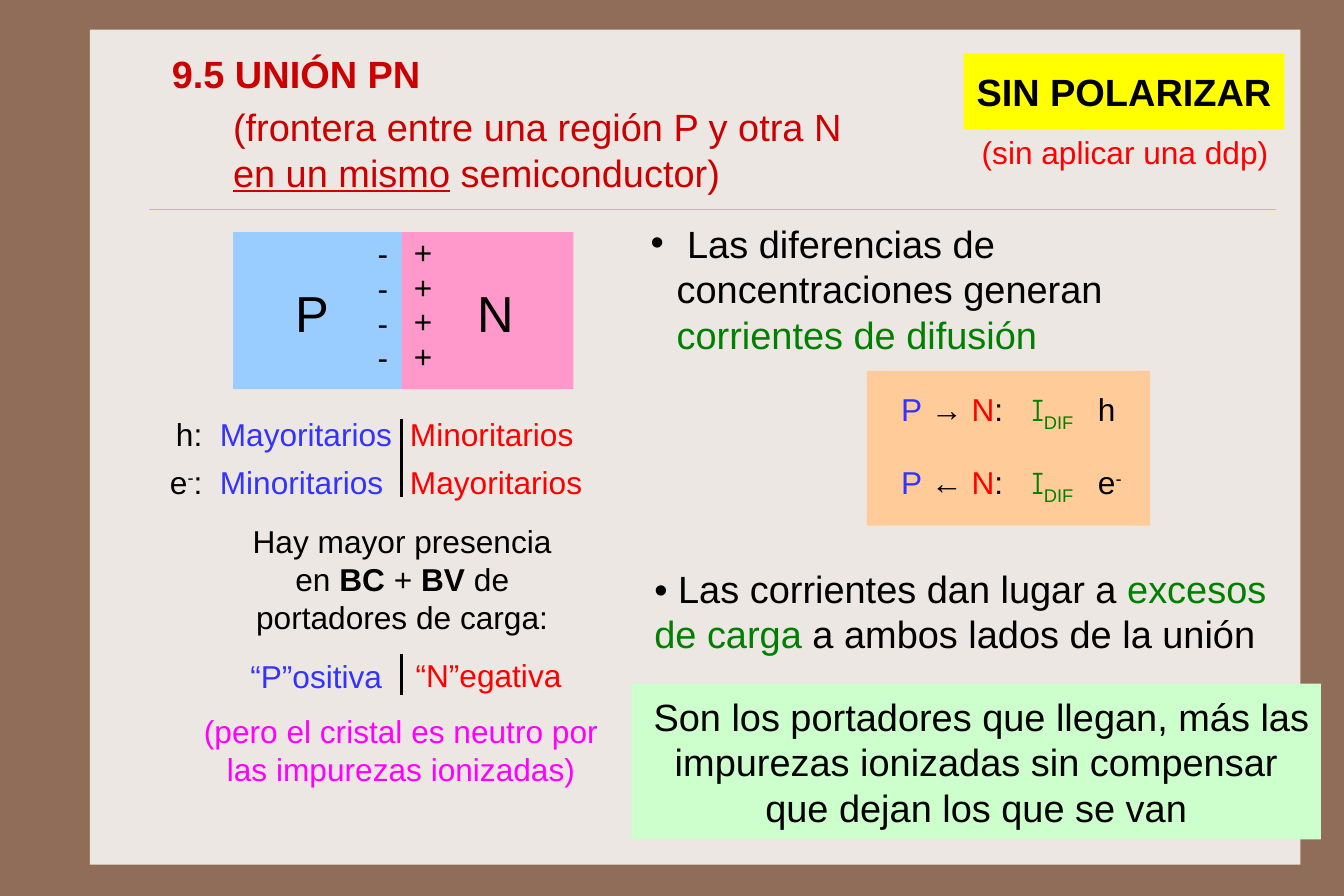
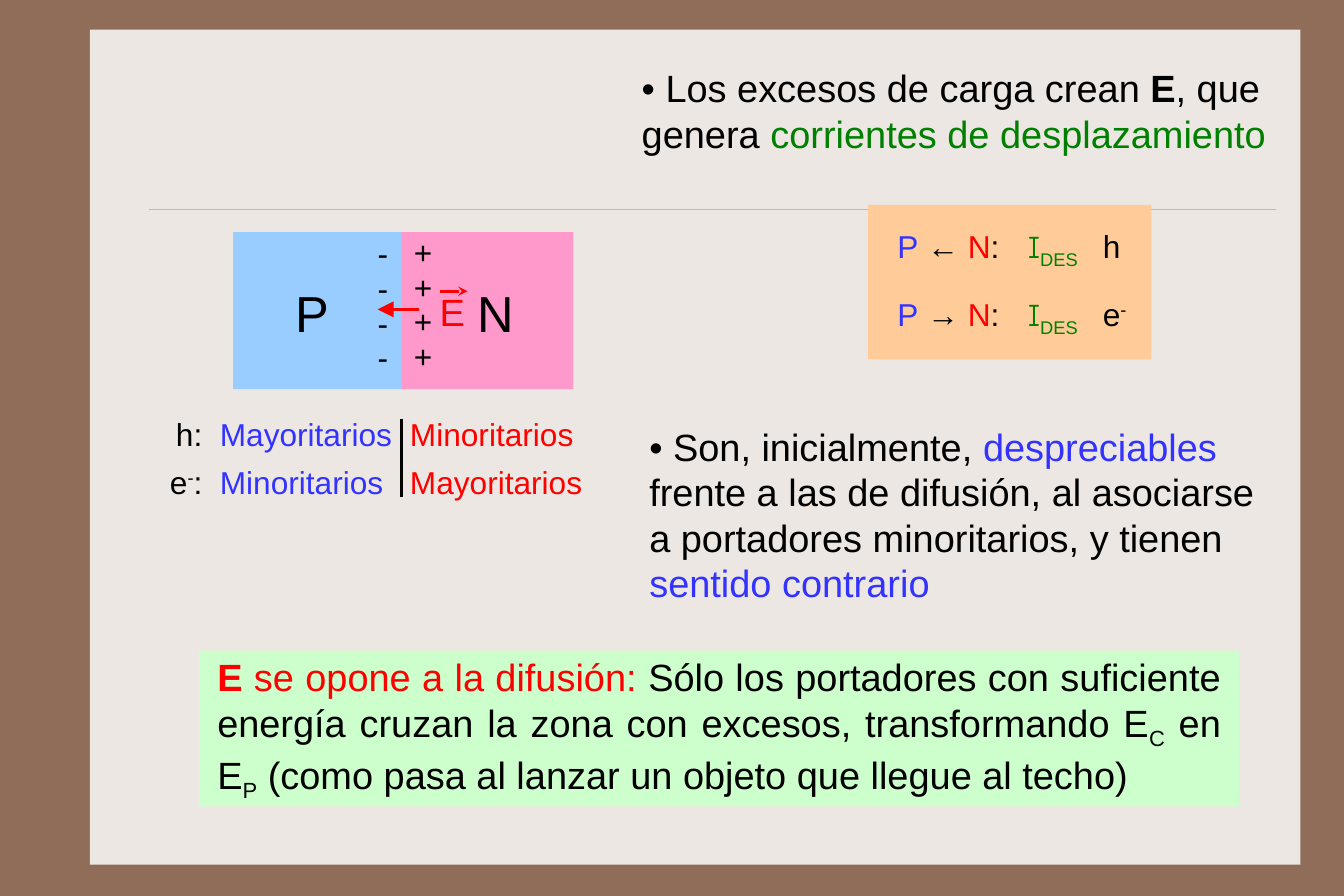
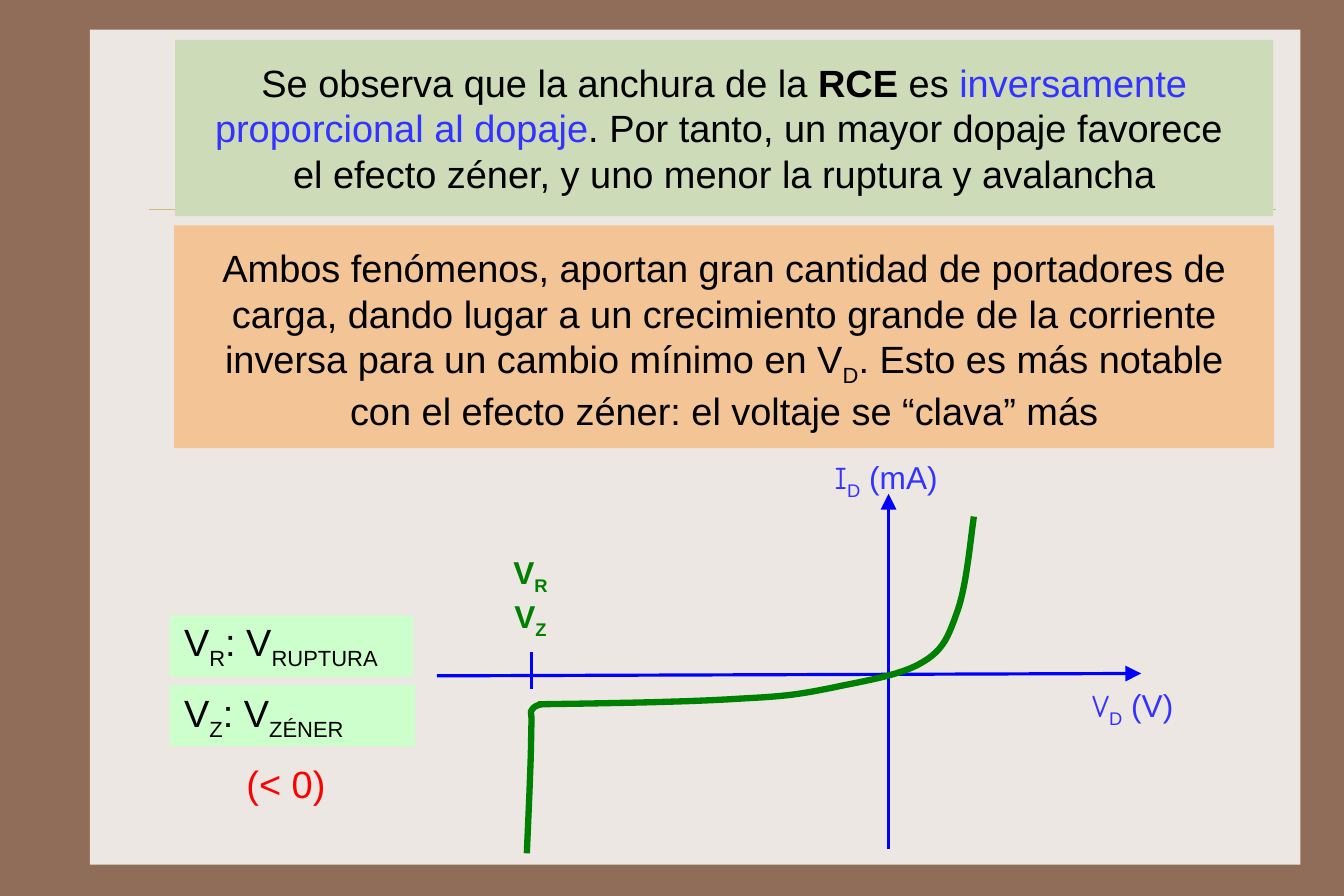
from lxml import etree
from pptx import Presentation
from pptx.dml.color import RGBColor
from pptx.enum.shapes import MSO_CONNECTOR, MSO_SHAPE
from pptx.enum.text import MSO_ANCHOR, MSO_AUTO_SIZE, PP_ALIGN
from pptx.oxml.ns import qn
from pptx.util import Pt

RECT = MSO_SHAPE.RECTANGLE
LINE = MSO_CONNECTOR.STRAIGHT
LEFT, MID, FULL = PP_ALIGN.LEFT, PP_ALIGN.CENTER, PP_ALIGN.JUSTIFY
TOP, HALF = MSO_ANCHOR.TOP, MSO_ANCHOR.MIDDLE
GROW = MSO_AUTO_SIZE.SHAPE_TO_FIT_TEXT

tint = RGBColor.from_string
FONT, HAND = "Arial", "Comic Neue"
INK, RED, DEEP, BLUE, GREEN = "000000", "FF0000", "CC0000", "3333FF", "008000"
PINK, AXIS = "FF00FF", "0000FF"
MINT, PEACH, LEMON = "CCFFCC", "FFCC99", "FFFF00"
BASE = {"^": "30000", "_": "-25000"}
HEADS = {"triangle": "lg", "stealth": "med"}


def box(slide, x, y, w, h, paras=(), fill=None, size=24, al=MID, wrap=True,
        anchor=TOP, pad=(7.2, 9.4), gap=0, lead=None, tabs=(), hang=0):
    place = Pt(x), Pt(y), Pt(w), Pt(h)
    if fill:
        shape = slide.shapes.add_shape(RECT, *place)
        shape.shadow.inherit = False
        shape.fill.solid()
        shape.fill.fore_color.rgb = tint(fill)
        shape.line.fill.background()
    else:
        shape = slide.shapes.add_textbox(*place)
    if not paras:
        return shape
    frame = shape.text_frame
    frame.word_wrap = wrap
    frame.auto_size = GROW
    frame.vertical_anchor = anchor
    frame.margin_left = frame.margin_right = Pt(pad[0])
    frame.margin_top = frame.margin_bottom = Pt(pad[1])
    for i, runs in enumerate(paras):
        para = frame.add_paragraph() if i else frame.paragraphs[0]
        para.alignment = al
        if lead:
            para.line_spacing = lead
        if i and gap:
            para.space_before = Pt(gap)
        props = para._p.get_or_add_pPr()
        if hang:
            props.set("marL", str(Pt(hang)))
            props.set("indent", str(-Pt(hang)))
            etree.SubElement(props, qn("a:buFont"), typeface=FONT)
            etree.SubElement(props, qn("a:buChar"), char="•")
        if tabs:
            stops = etree.SubElement(props, qn("a:tabLst"))
            for pos, kind in tabs:
                etree.SubElement(stops, qn("a:tab"), pos=str(Pt(pos)), algn=kind)
        for text, hue, mark in runs:
            if text == "\n":
                para.add_line_break()
                continue
            run = para.add_run()
            run.text = text
            font = run.font
            font.name = HAND if mark == "h" else FONT
            font.size = Pt(size)
            font.color.rgb = tint(hue)
            font.bold = "b" in mark
            font.underline = "u" in mark
            for sign in BASE:
                if sign in mark:
                    run._r.get_or_add_rPr().set("baseline", BASE[sign])
    return shape


def line(slide, x1, y1, x2, y2, hue, width=2, head=None):
    link = slide.shapes.add_connector(LINE, Pt(x1), Pt(y1), Pt(x2), Pt(y2))
    link.line.color.rgb = tint(hue)
    link.line.width = Pt(width)
    props = link.element.spPr
    if head:
        etree.SubElement(props.find(qn("a:ln")), qn("a:tailEnd"), type=head,
                         w=HEADS[head], len=HEADS[head])
    etree.SubElement(props, qn("a:effectLst"))
    return link


deck = Presentation()
deck.slide_width, deck.slide_height = Pt(850.5), Pt(567)
union = deck.slides.add_slide(deck.slide_layouts[5])
field = deck.slides.add_slide(deck.slide_layouts[6])
curve = deck.slides.add_slide(deck.slide_layouts[6])

master = deck.slide_master
master.background.fill.solid()
master.background.fill.fore_color.rgb = tint("906D58")
panel = box(union, 56.9, 18.7, 766.1, 528.5, fill="EDE7E3")
rule = line(union, 94.3, 132.5, 807.8, 132.5, "CBBD83", 0.25)
for i, part in enumerate((panel, rule)):
    part.element.xpath(".//p:cNvPr")[0].set("id", str(20 + i))
    master.shapes.element.insert(2 + i, part.element)

for slide in (union, field):
    for x, hue in ((147.6, "99CCFF"), (254.2, "FF99CC")):
        box(slide, x, 146.9, 108.7, 99.4, fill=hue)
    for x, w, name in ((180, 35.3, "P"), (295.2, 37.4, "N")):
        box(slide, x, 169.2, w, 56.9, [[(name, INK, "")]], size=32, wrap=False)
    for x, y, w, sign in ((254.9, 148.3, 25.9, "+"), (231.8, 149, 20.9, "-")):
        box(slide, x, y, w, 103, [[(sign, INK, "")]] * 4, size=20,
            wrap=False, gap=10, lead=0.5)
    box(slide, 90, 253.4, 300, 73, [
        [("\th:\t", INK, ""), ("Mayoritarios\t", BLUE, ""),
         ("Minoritarios", RED, "")],
        [("\te", INK, ""), ("-", INK, "^"), (":\t", INK, ""),
         ("Minoritarios\t", BLUE, ""), ("Mayoritarios", RED, "")],
    ], size=20, al=LEFT, gap=6, tabs=((31, "r"), (42, "l"), (162.3, "l")))
    line(slide, 254.2, 265, 254.2, 314.6, INK)

flows = (
    (union, 548.6, 234.7, 563.2, "DIF", 124.5,
     ((237.6, "→", "h", ""), (283.7, "←", "e", "-"))),
    (field, 549.4, 129.6, 560.8, "DES", 130,
     ((133.9, "←", "h", ""), (177.1, "→", "e", "-"))),
)
for slide, left, top, x, kind, stop, rows in flows:
    box(slide, left, top, 179.3, 97.9, fill=PEACH)
    for y, arrow, name, sign in rows:
        runs = [("P", BLUE, ""), (f" {arrow} ", INK, ""), ("N", RED, ""),
                (":\t", INK, ""), ("I", GREEN, "h"), (kind, GREEN, "_"),
                (f"\t{name}", INK, "")]
        if sign:
            runs.append((sign, INK, "^"))
        box(slide, x, y, 167, 42.5, [runs], size=20, al=LEFT,
            tabs=((82.5, "l"), (stop, "l")))

title = union.shapes.title
title.left, title.top, title.width, title.height = (
    Pt(100.8), Pt(28.1), Pt(207.4), Pt(36.7))
frame = title.text_frame
frame.word_wrap = True
frame.auto_size = GROW
frame.vertical_anchor = HALF
frame.margin_left = frame.margin_right = Pt(7.9)
frame.margin_top = frame.margin_bottom = Pt(3.6)
frame.paragraphs[0].alignment = LEFT
run = frame.paragraphs[0].add_run()
run.text = "9.5 UNIÓN PN"
run.font.name = FONT
run.font.size = Pt(24)
run.font.bold = True
run.font.color.rgb = tint(DEEP)

box(union, 140.4, 56.2, 414, 77, [[
    ("(frontera entre una región P y otra N ", DEEP, ""),
    ("en un mismo", DEEP, "u"), (" semiconductor)", DEEP, "")]], al=LEFT)
box(union, 609.8, 33.8, 203, 48.2, [[("SIN POLARIZAR", INK, "b")]],
    fill=LEMON, wrap=False)
box(union, 613.4, 74.9, 197.3, 43.2, [[("(sin aplicar una ddp)", RED, "")]],
    size=20, wrap=False)
box(union, 404.6, 144, 411.8, 77, [[
    (" Las diferencias de concentraciones generan ", INK, ""),
    ("corrientes de difusión", GREEN, "")]], al=LEFT, anchor=HALF, hang=16.5)
box(union, 407, 348.5, 414, 77, [[
    ("• Las corrientes dan lugar a ", INK, ""), ("excesos de carga", GREEN, ""),
    (" a ambos lados de la unión", INK, "")]], al=LEFT)
box(union, 399.6, 432.7, 436.3, 98.6, [[
    (" Son los portadores que llegan, más las impurezas ionizadas sin "
     "compensar que dejan los que se van", INK, "")]],
    fill=MINT, anchor=HALF, pad=(7.2, 5.8))
box(union, 136.1, 321.1, 236.9, 91.4, [
    [("Hay mayor presencia", INK, "")],
    [("en ", INK, ""), ("BC ", INK, "b"), ("+ ", INK, ""), ("BV ", INK, "b"),
     ("de portadores de carga:", INK, "")]], size=20)
box(union, 147.6, 406.1, 105.1, 43.2, [[("“P”ositiva", BLUE, "")]], size=20)
box(union, 253.4, 405.4, 111.6, 43.2, [[("“N”egativa", RED, "")]], size=20)
line(union, 254.2, 414, 254.2, 439.9, INK)
box(union, 115.2, 441.4, 277.2, 67.7, [[
    ("(pero el cristal es neutro por las impurezas ionizadas)", PINK, "")]],
    size=20)

box(field, 399, 31.7, 440.6, 77, [[
    ("• Los excesos de carga crean ", INK, ""), ("E", INK, "b"),
    (", que genera ", INK, ""),
    ("corrientes de desplazamiento", GREEN, "")]], al=LEFT)
box(field, 403.8, 258.5, 409.7, 135.4, [[
    ("• Son, inicialmente, ", INK, ""), ("despreciables ", BLUE, ""),
    ("frente a las de difusión, al asociarse a portadores minoritarios, "
     "y tienen ", INK, ""), ("sentido contrario", BLUE, "")]], al=LEFT)
box(field, 126, 411.8, 658.1, 98.6, [[
    ("E ", RED, "b"), ("se opone a la difusión: ", RED, ""),
    ("Sólo los portadores con suficiente energía cruzan la zona con excesos, "
     "transformando E", INK, ""), ("C", INK, "_"), (" en E", INK, ""),
    ("P", INK, "_"),
    (" (como pasa al lanzar un objeto que llegue al techo)", INK, "")]],
    fill=MINT, al=FULL, anchor=HALF, pad=(11.5, 5.8))
line(field, 265, 195.8, 239, 195.8, RED, head="triangle")
box(field, 270.7, 179.3, 31, 36, [[("E", RED, "")]], wrap=False, pad=(7.2, 3.6))
line(field, 278.6, 184.3, 295.9, 184.3, RED, head="stealth")

box(curve, 110.2, 142.6, 696.2, 141.1, [
    [("Ambos fenómenos, aportan gran cantidad de portadores de carga, dando "
      "lugar a un crecimiento grande de la corriente inversa para un cambio "
      "mínimo en V", INK, ""), ("D", INK, "_"),
     (". Esto es más notable", INK, "")],
    [("con el efecto zéner: el voltaje se “clava” más", INK, "")]],
    fill="F3C495", pad=(7.2, 12.2))
box(curve, 110.9, 25.2, 694.8, 111.6, [
    [("Se observa que la anchura de la ", INK, ""), ("RCE", INK, "b"),
     (" es ", INK, ""), ("inversamente proporcional al dopaje", BLUE, ""),
     (". Por tanto, un mayor dopaje favorece ", INK, ""), ("\n", INK, ""),
     ("el efecto zéner, y uno menor la ruptura y avalancha", INK, "")]],
    fill="CDDBB9", pad=(7.2, 12.2))

line(curve, 562.3, 537.1, 562.3, 312.5, AXIS, head="triangle")
line(curve, 276.5, 427.7, 722.2, 426.2, AXIS, head="triangle")
line(curve, 336.2, 412.6, 336.2, 436.3, AXIS)
for x, y, w, name, unit in ((519.1, 280.1, 83.5, "I", " (mA)"),
                            (682.6, 424.8, 68.4, "V", " (V)")):
    box(curve, x, y, w, 42.5, [[(name, BLUE, "h"), ("D", BLUE, "_"),
                                (unit, BLUE, "")]], size=20, wrap=False)
for y, name in ((340.6, "R"), (368.6, "Z")):
    box(curve, 317, y, 37.4, 43.2, [[("V", GREEN, "b"), (name, GREEN, "b_")]],
        size=20, wrap=False)

for y, w in ((389.5, 154.1), (433.4, 155.5)):
    box(curve, 107.3, y, w, 38.9, fill=MINT)
box(curve, 109.4, 382.3, 149, 135.4, [
    [("V", INK, ""), ("R", INK, "_"), (": V", INK, ""), ("RUPTURA", INK, "_")],
    [("V", INK, ""), ("Z", INK, "_"), (": V", INK, ""), ("ZÉNER", INK, "_")],
    [("\t(< 0)", RED, "")]], al=LEFT, gap=12, tabs=((39.5, "l"),))

right = ((616.3, 326.9), (613.4, 348.5), (611.3, 370.8), (606.2, 385.9),
         (600.5, 401.8), (597.6, 411.1), (583.9, 419), (570.2, 427.7),
         (544.3, 431.3), (524.9, 435.6), (506.2, 439.2), (499, 440.6),
         (468.7, 442.1), (437.8, 444.2), (389.5, 445), (340.6, 445.7))
down = ((342.7, 445.7), (339.8, 446.4), (337.7, 447.1), (336.2, 450),
        (334.8, 452.2), (337, 447.1), (336.2, 462.2), (336.2, 477.4),
        (334.8, 508.3), (333.4, 540))
STEPS = 12
for knots in (right, down):
    dots = []
    for k in range(0, len(knots) - 1, 3):
        for n in range(1, STEPS + 1):
            t = n / STEPS
            s = 1 - t
            parts = (s ** 3, 3 * s * s * t, 3 * s * t * t, t ** 3)
            dots.append(tuple(
                Pt(sum(p * knot[a] for p, knot in zip(parts, knots[k:k + 4])))
                for a in (0, 1)))
    x, y = knots[0]
    pen = curve.shapes.build_freeform(Pt(x), Pt(y))
    pen.add_line_segments(dots, close=False)
    trace = pen.convert_to_shape()
    trace.shadow.inherit = False
    trace.fill.background()
    trace.line.color.rgb = tint(GREEN)
    trace.line.width = Pt(4)

deck.save("out.pptx")
